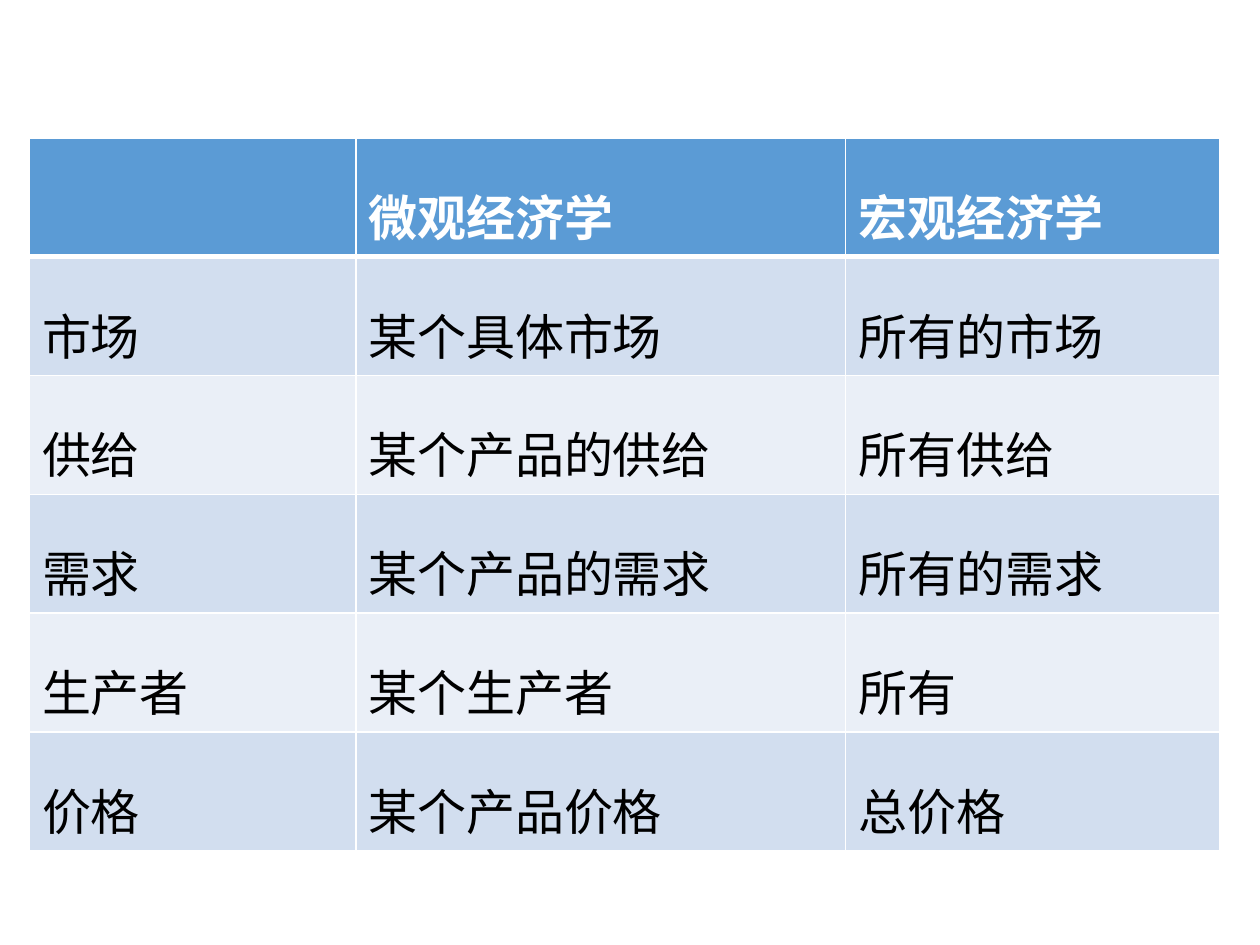
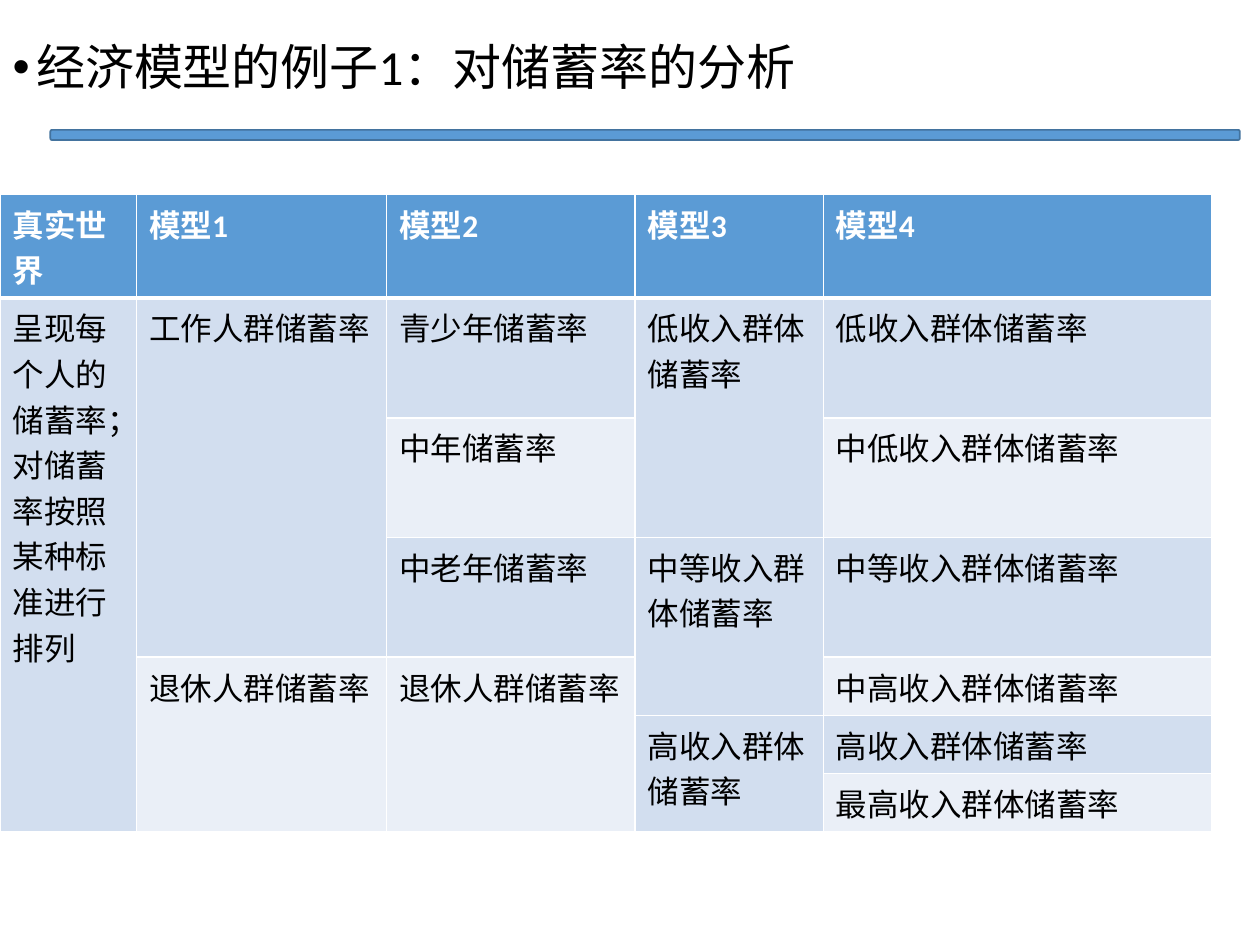
from pptx import Presentation
from pptx.util import Pt
from pptx.dml.color import RGBColor as Rgb
from pptx.enum.shapes import MSO_SHAPE as Shape
from pptx.enum.text import MSO_ANCHOR as Anchor, MSO_AUTO_SIZE as Fit, PP_ALIGN as Align
from pptx.oxml.ns import qn
from lxml.etree import SubElement as Sub

FONT = "Calibri"
HUES = {
    "head": "5B9BD5",
    "odd": "D2DEEF",
    "even": "EAEFF7",
    "edge": "43739E",
    "white": "FFFFFF",
    "black": "000000",
}

FIELDS = [
    ["", "微观经济学", "宏观经济学"],
    ["市场", "某个具体市场", "所有的市场"],
    ["供给", "某个产品的供给", "所有供给"],
    ["需求", "某个产品的需求", "所有的需求"],
    ["生产者", "某个生产者", "所有"],
    ["价格", "某个产品价格", "总价格"],
]

# None continues the cell above
MODELS = [
    ["真实世界", "模型1", "模型2", "模型3", "模型4"],
    ["呈现每个人的储蓄率；\n对储蓄率按照某种标准进行排列", "工作人群储蓄率",
     "青少年储蓄率", "低收入群体储蓄率", "低收入群体储蓄率"],
    [None, None, "中年储蓄率", None, "中低收入群体储蓄率"],
    [None, None, "中老年储蓄率", "中等收入群体储蓄率", "中等收入群体储蓄率"],
    [None, "退休人群储蓄率", "退休人群储蓄率", None, "中高收入群体储蓄率"],
    [None, None, None, "高收入群体储蓄率", "高收入群体储蓄率"],
    [None, None, None, None, "最高收入群体储蓄率"],
]


def hue(name):
    return Rgb.from_string(HUES[name])


def style(par, size, color, bold=False):
    font = par.font
    font.name, font.size, font.bold = FONT, Pt(size), bold
    font.color.rgb = hue(color)


def border(cell, row):
    props = cell._tc.get_or_add_tcPr()
    thick = {"T": row == 1, "B": row == 0}
    for side in "LRTB":
        width = Pt(3 if thick.get(side) else 1)
        line = Sub(props, qn(f"a:ln{side}"), w=str(width))
        fill = Sub(line, qn("a:solidFill"))
        Sub(fill, qn("a:srgbClr"), val=HUES["white"])


def paint(cell, row):
    border(cell, row)
    cell.fill.solid()
    band = "odd" if row % 2 else "even"
    cell.fill.fore_color.rgb = hue(band if row else "head")


def add_grid(slide, left, top, data, widths, heights, size, space=None):
    frame = slide.shapes.add_table(len(data), len(widths), Pt(left), Pt(top),
                                   Pt(sum(widths)), Pt(sum(heights)))
    table = frame.table
    for col, width in zip(table.columns, widths):
        col.width = Pt(width)
    for row, height in zip(table.rows, heights):
        row.height = Pt(height)
    for r, line in enumerate(data):
        for c, text in enumerate(line):
            cell = table.cell(r, c)
            paint(cell, r)
            if text is None:
                continue
            cell.text = text
            for par in cell.text_frame.paragraphs:
                par.line_spacing = space
                style(par, size, "black" if r else "white", r == 0)
            last = r
            while last + 1 < len(data) and data[last + 1][c] is None:
                last += 1
            if last > r:
                cell.merge(table.cell(last, c))


def add_title(slide, text):
    title = slide.shapes.title
    title.left, title.top, title.width, title.height = Pt(0), Pt(21), Pt(712), Pt(48)
    frame = title.text_frame
    frame.text = text
    frame.auto_size = Fit.NONE
    frame.vertical_anchor = Anchor.TOP
    par = frame.paragraphs[0]
    par.alignment = Align.LEFT
    par.line_spacing = 0.9
    par.space_before = Pt(0)
    props = par._p.get_or_add_pPr()
    props.set("marL", str(Pt(13.5)))
    props.set("indent", str(Pt(-13.5)))
    Sub(props, qn("a:buFont"), typeface="Arial")
    Sub(props, qn("a:buChar"), char="•")
    style(par, 28, "black")


def add_rule(slide):
    rule = slide.shapes.add_shape(Shape.ROUNDED_RECTANGLE, Pt(28.8), Pt(74.2),
                                  Pt(679.7), Pt(5.8))
    rule.shadow.inherit = False
    rule.fill.solid()
    rule.fill.fore_color.rgb = hue("head")
    rule.line.color.rgb = hue("edge")
    rule.line.width = Pt(1)


def main():
    deck = Presentation()
    deck.slide_width, deck.slide_height = Pt(720), Pt(540)
    titled, blank = deck.slide_layouts[5], deck.slide_layouts[6]

    fields = deck.slides.add_slide(blank)
    add_grid(fields, 16.8, 78.8, FIELDS, [186.5, 280, 213.8], [67.8] * 6, 28, 1.5)

    models = deck.slides.add_slide(titled)
    add_title(models, "经济模型的例子1：对储蓄率的分析")
    add_grid(models, 0, 111, MODELS, [78, 143, 142, 107.5, 222],
             [58.4] + [68.4] * 3 + [33.2] * 3, 18)
    add_rule(models)

    deck.save("out.pptx")


if __name__ == "__main__":
    main()
